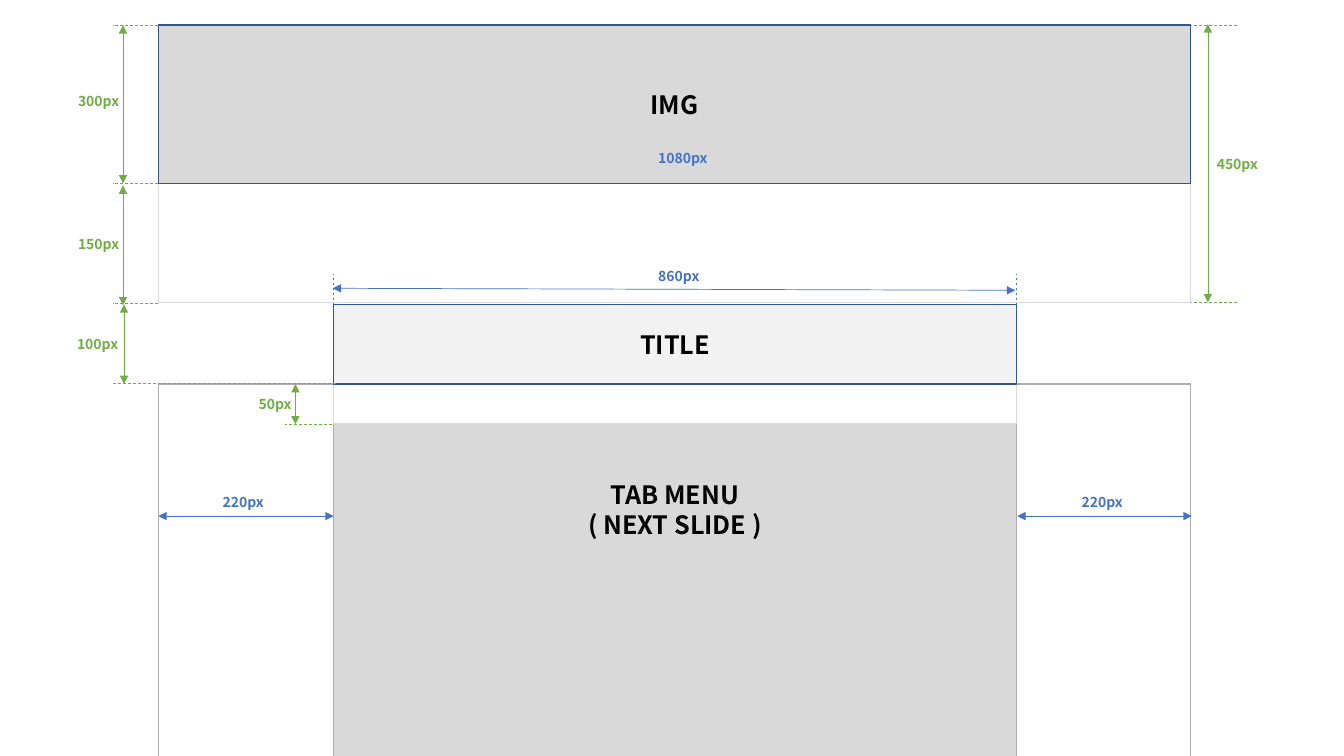
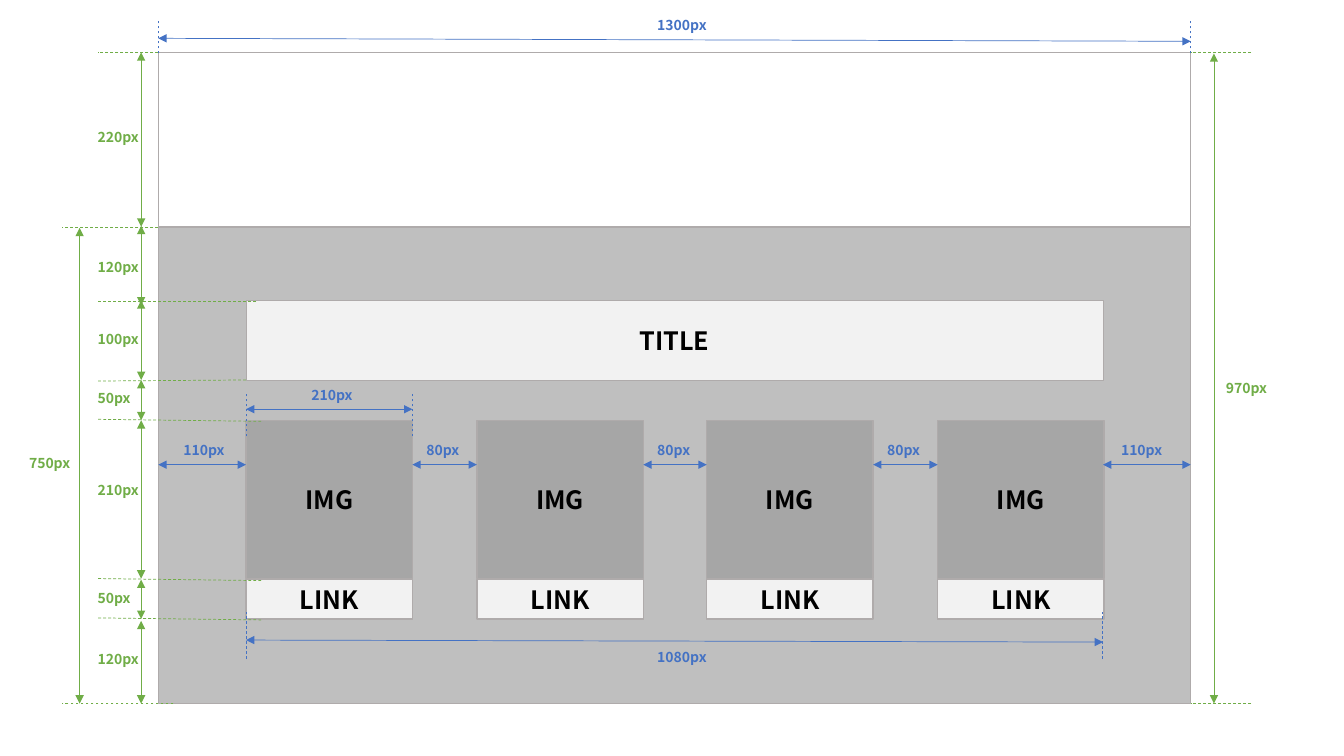
from lxml.etree import SubElement
from pptx import Presentation
from pptx.dml.color import RGBColor
from pptx.enum.dml import MSO_LINE
from pptx.enum.shapes import MSO_CONNECTOR, MSO_SHAPE
from pptx.enum.text import MSO_ANCHOR, MSO_AUTO_SIZE, PP_ALIGN
from pptx.oxml.ns import qn
from pptx.util import Pt

EMU_PER_PX = 9144
TITLE_ONLY = 5
FONT = "Noto Sans CJK KR"
COLORS = {
    "white": "FFFFFF",
    "pale": "F2F2F2",
    "light": "D9D9D9",
    "medium": "BFBFBF",
    "dark": "A6A6A6",
    "faint_edge": "DBDBDB",
    "gray_edge": "AFABAB",
    "blue_edge": "325491",
    "height": "70AD47",
    "width": "4472C4",
    "text": "000000",
}


def px(length):
    return length * EMU_PER_PX


def rgb(color):
    return RGBColor.from_string(COLORS[color])


def direction(start, end):
    is_level = abs(end[0] - start[0]) > abs(end[1] - start[1])
    return "width" if is_level else "height"


def write(frame, text, size=18, color="text", align=PP_ALIGN.CENTER,
          anchor=MSO_ANCHOR.MIDDLE, fit=MSO_AUTO_SIZE.NONE, inset=5):
    frame.word_wrap = True
    frame.auto_size = fit
    frame.vertical_anchor = anchor
    frame.margin_left = frame.margin_right = px(10)
    frame.margin_top, frame.margin_bottom = px(inset), px(5)
    frame.text = text
    for paragraph in frame.paragraphs:
        paragraph.alignment = align
        for run in paragraph.runs:
            font = run.font
            font.name, font.size, font.bold = FONT, Pt(size), True
            font.color.rgb = rgb(color)


class Wireframe:
    def __init__(self):
        self.deck = Presentation()
        self.deck.slide_width, self.deck.slide_height = px(1333), px(750)
        self.slide = None

    def new_slide(self):
        layout = self.deck.slide_layouts[TITLE_ONLY]
        self.slide = self.deck.slides.add_slide(layout)

    def dress(self, panel, fill, edge, weight):
        panel.shadow.inherit = False
        if fill:
            panel.fill.solid()
            panel.fill.fore_color.rgb = rgb(fill)
        else:
            panel.fill.background()
        panel.line.color.rgb = rgb(edge)
        panel.line.width = Pt(weight)

    def box(self, left, top, width, height, fill=None, edge="gray_edge",
            text=None, **text_format):
        panel = self.slide.shapes.add_shape(
            MSO_SHAPE.RECTANGLE, px(left), px(top), px(width), px(height))
        self.dress(panel, fill, edge, 1)
        if text:
            write(panel.text_frame, text, **text_format)

    def title(self, left, top, width, height, edge="gray_edge", weight=1):
        heading = self.slide.shapes.title
        heading.left, heading.top = px(left), px(top)
        heading.width, heading.height = px(width), px(height)
        self.dress(heading, "pale", edge, weight)
        write(heading.text_frame, "TITLE")
        self.slide.shapes.element.append(heading.element)

    def rule(self, start, end, color):
        rule = self.slide.shapes.add_connector(
            MSO_CONNECTOR.STRAIGHT, *map(px, start + end))
        rule.line.color.rgb = rgb(color)
        rule.line.width = Pt(0.5)
        SubElement(rule.element.spPr, qn("a:effectLst"))
        return rule

    def guide(self, start, end):
        measured = "height" if direction(start, end) == "width" else "width"
        self.rule(start, end, measured).line.dash_style = MSO_LINE.DASH

    def label(self, text, left, top, color, align=PP_ALIGN.LEFT):
        width = 63 if color == "height" else 72
        caption = self.slide.shapes.add_textbox(
            px(left), px(top), px(width), px(27))
        write(caption.text_frame, text, size=10, color=color, align=align,
              anchor=MSO_ANCHOR.TOP, fit=MSO_AUTO_SIZE.SHAPE_TO_FIT_TEXT)

    def measure(self, start, end, text, left, top, align=PP_ALIGN.LEFT):
        color = direction(start, end)
        arrow = self.rule(start, end, color)
        outline = arrow.element.spPr.find(qn("a:ln"))
        for tip in ("a:headEnd", "a:tailEnd"):
            SubElement(outline, qn(tip), type="triangle")
        self.label(text, left, top, color, align)


def build_page_overview(frame):
    frame.new_slide()
    frame.box(331, 381, 677, 669, "light", text="TAB MENU\n( NEXT SLIDE )",
              anchor=MSO_ANCHOR.TOP, inset=94)
    frame.box(331, 381, 677, 39, "white", "faint_edge")
    frame.box(157, 182, 1024, 118, "white", "faint_edge")
    frame.box(157, 381, 1024, 749)
    frame.box(157, 25, 1024, 157, "light", "blue_edge", "IMG")
    frame.title(331, 302, 677, 79, "blue_edge")

    for start, end, y in ((157, 112, 25), (157, 112, 182), (157, 112, 301),
                          (333, 112, 380), (329, 283, 421),
                          (1227, 1181, 25), (1227, 1181, 300)):
        frame.guide((start, y), (end, y))
    for x in (331, 1008):
        frame.guide((x, 308), (x, 272))

    for x, top, bottom, text, left, label_top in (
            (122, 25, 182, "300px", 65, 87),
            (122, 184, 303, "150px", 65, 229),
            (123, 302, 381, "100px", 64, 328),
            (293, 381, 421, "50px", 236, 387)):
        frame.measure((x, top), (x, bottom), text, left, label_top,
                      PP_ALIGN.RIGHT)
    frame.measure((1198, 24), (1198, 300), "450px", 1197, 149)

    for left, right in ((157, 331), (1009, 1182)):
        frame.measure((right, 512), (left, 512), "220px", left + 54, 485)
    frame.measure((1007, 288), (330, 286), "860px", 643, 260)
    frame.label("1080px", 643, 143, "width")


def build_tab_menu(frame):
    frame.new_slide()
    frame.box(157, 52, 1024, 173)
    frame.box(157, 226, 1024, 472, "medium")
    frame.title(244, 298, 850, 79, weight=0.5)

    card_width, card_count = 165, 4
    card_lefts = [244 + round(686 * i / (card_count - 1))
                  for i in range(card_count)]
    for left in card_lefts:
        frame.box(left, 417, card_width, 157, "dark", text="IMG")
        frame.box(left, 575, card_width, 39, "pale", text="LINK")
    for left, next_left in zip(card_lefts, card_lefts[1:]):
        right = left + card_width
        frame.measure((next_left, 461), (right, 461), "80px", right + 4, 433)

    for start, end in (((157, 52), (97, 52)), ((157, 226), (62, 226)),
                       ((254, 299), (97, 299)), ((244, 377), (97, 378)),
                       ((259, 418), (97, 416)), ((259, 576), (97, 574)),
                       ((259, 615), (97, 613)), ((172, 698), (62, 698)),
                       ((1241, 52), (1181, 52)), ((1241, 698), (1181, 698))):
        frame.guide(start, end)
    for x, top, bottom in ((157, 21, 53), (1181, 21, 53),
                           (244, 390, 433), (409, 390, 433),
                           (244, 607, 654), (1093, 607, 654)):
        frame.guide((x, bottom), (x, top))

    for top, bottom, text, label_top in (
            (52, 225, "220px", 123), (224, 303, "120px", 252),
            (298, 377, "100px", 323), (377, 417, "50px", 382),
            (417, 574, "210px", 473), (575, 614, "50px", 580),
            (616, 698, "120px", 640)):
        frame.measure((140, top), (140, bottom), text, 87, label_top)
    frame.measure((1204, 53), (1204, 698), "970px", 1206, 372)
    frame.measure((79, 226), (79, 698), "750px", 19, 446)

    for start, end, text, left, top in (
            ((244, 461), (157, 461), "110px", 172, 433),
            ((1181, 461), (1094, 461), "110px", 1102, 433),
            ((409, 406), (244, 406), "210px", 299, 379),
            ((1181, 41), (157, 38), "1300px", 642, 11),
            ((1094, 637), (244, 635), "1080px", 642, 638)):
        frame.measure(start, end, text, left, top)


def main():
    frame = Wireframe()
    build_page_overview(frame)
    build_tab_menu(frame)
    frame.deck.save("out.pptx")


if __name__ == "__main__":
    main()
